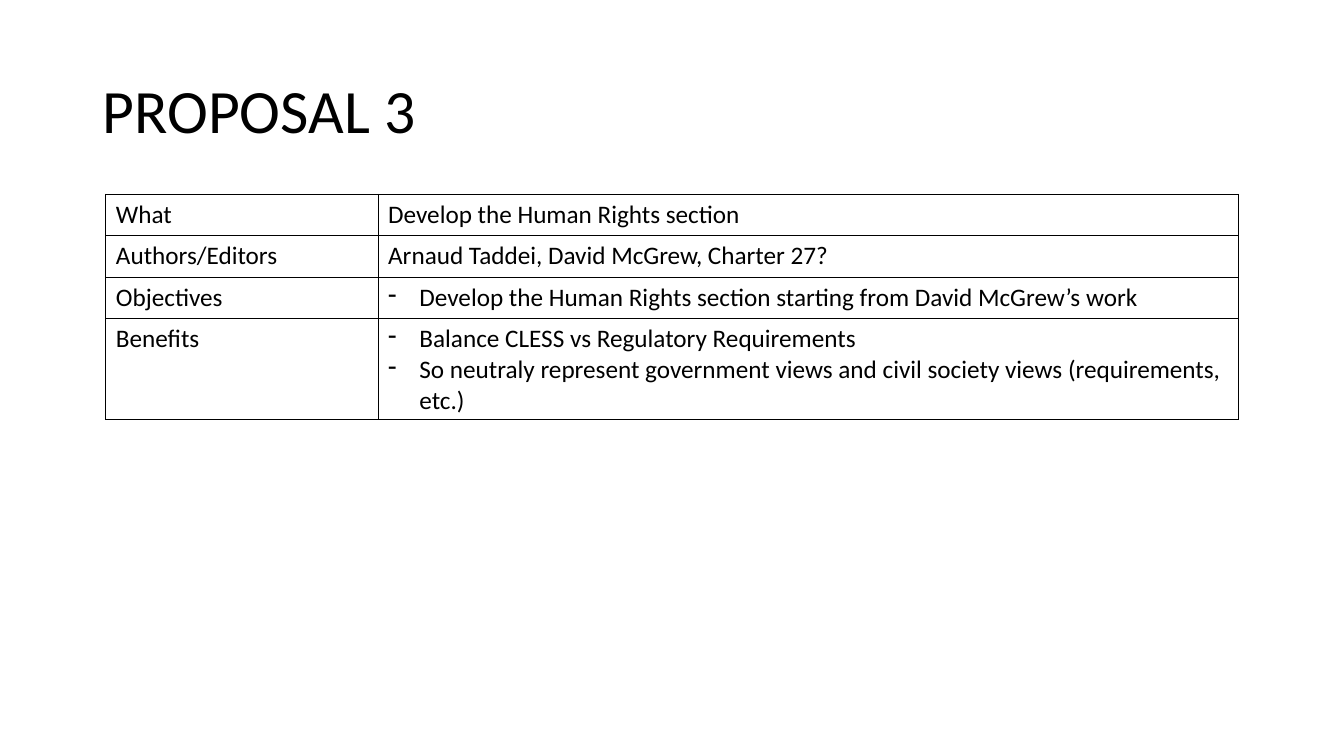
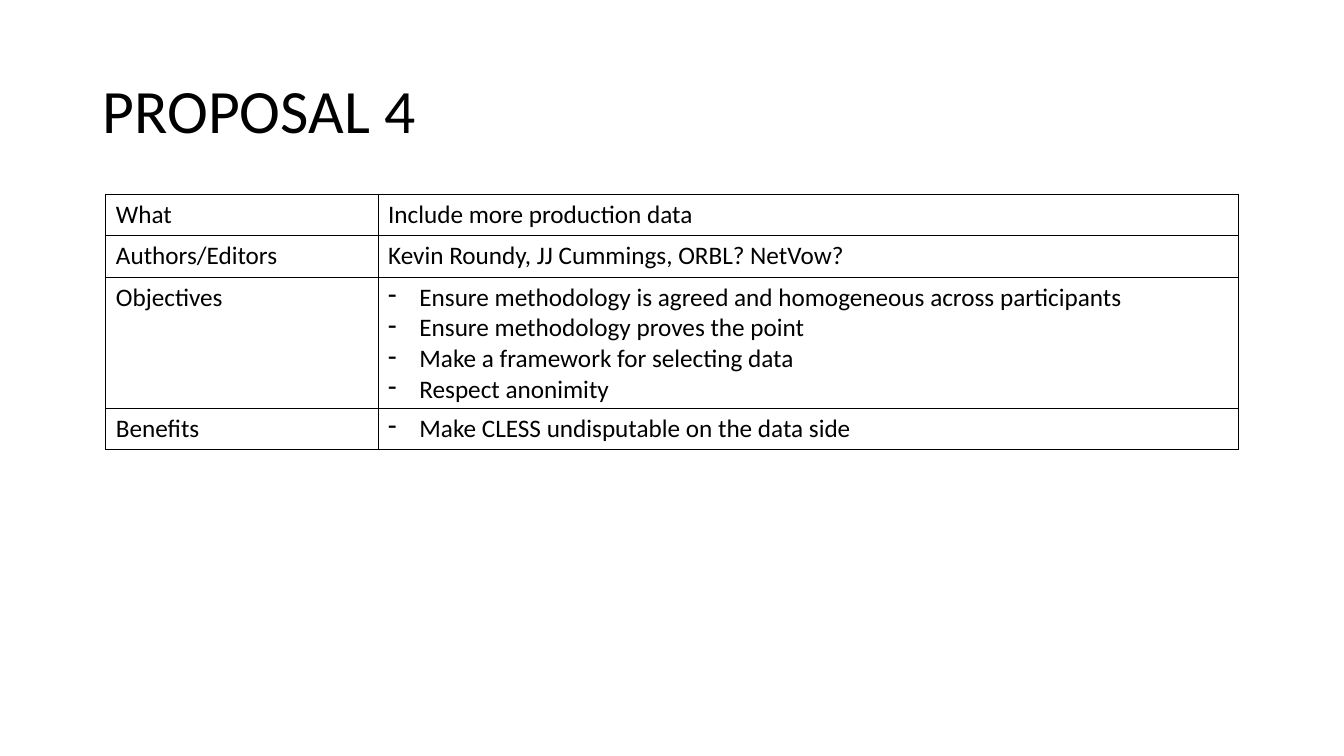
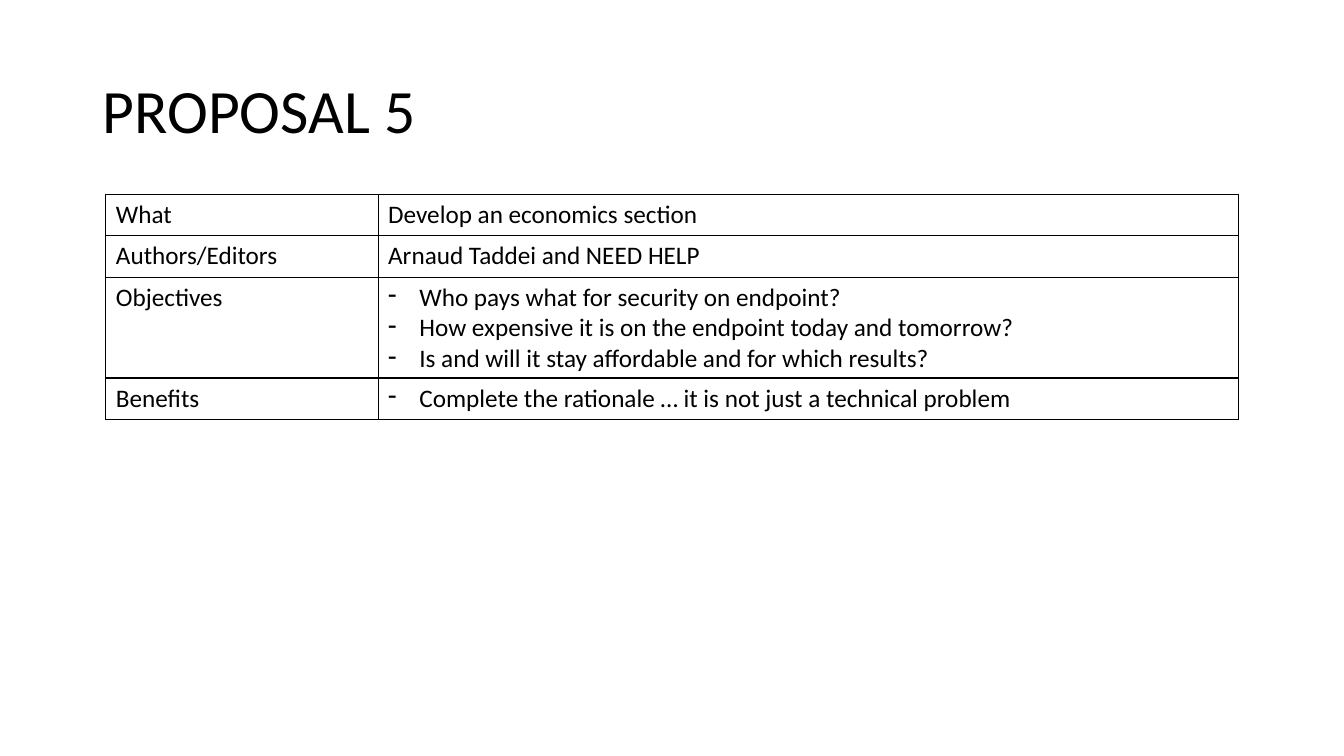
from lxml.etree import SubElement as Sub
from pptx import Presentation
from pptx.dml.color import RGBColor as RGB
from pptx.enum.text import MSO_ANCHOR as Anchor
from pptx.oxml.ns import qn
from pptx.util import Inches, Pt

# Content: a string is plain text, a list is a set of dash points
LABELS = ("What", "Authors/Editors", "Objectives", "Benefits")
DECK = [
    ("PROPOSAL 3", (
        "Develop the Human Rights section",
        "Arnaud Taddei, David McGrew, Charter 27?",
        ["Develop the Human Rights section starting from David McGrew’s work"],
        ["Balance CLESS vs Regulatory Requirements",
         "So neutraly represent government views and civil society views "
         "(requirements, etc.)"])),
    ("PROPOSAL 4", (
        "Include more production data",
        "Kevin Roundy, JJ Cummings, ORBL? NetVow?",
        ["Ensure methodology is agreed and homogeneous across participants",
         "Ensure methodology proves the point",
         "Make a framework for selecting data",
         "Respect anonimity"],
        ["Make CLESS undisputable on the data side"])),
    ("PROPOSAL 5", (
        "Develop an economics section",
        "Arnaud Taddei and NEED HELP",
        ["Who pays what for security on endpoint?",
         "How expensive it is on the endpoint today and tomorrow?",
         "Is and will it stay affordable and for which results?"],
        ["Complete the rationale … it is not just a technical problem"])),
]

# Shared style, lengths in inches
COLORS = {"text": "000000", "line": "000000", "back": "FFFFFF"}
FONT = "Calibri"
SIZE = (13.33, 7.5)
TITLE = (0.92, 0.4, 11.5, 1.45)
LEFT, TOP = 1.05, 1.93
COLS = (2.7, 8.53)
ROW = 0.41
INDENT = 0.31


def style(para, size):
    for run in para.runs:
        run.font.name, run.font.size = FONT, Pt(size)
        run.font.color.rgb = RGB.from_string(COLORS["text"])


def add_dash(para):
    props = para._p.get_or_add_pPr()
    props.set("marL", str(Inches(INDENT)))
    props.set("indent", str(-Inches(INDENT)))
    Sub(props, qn("a:buFontTx"))
    Sub(props, qn("a:buChar"), char="-")


def add_border(cell):
    props = cell._tc.get_or_add_tcPr()
    for side in "LRTB":
        line = Sub(props, qn("a:ln" + side), w=str(Pt(1)))
        fill = Sub(line, qn("a:solidFill"))
        Sub(fill, qn("a:srgbClr"), val=COLORS["line"])


def fill_cell(cell, item):
    add_border(cell)
    cell.fill.background()
    dashed = isinstance(item, list)
    cell.text_frame.text = "\n".join(item) if dashed else item
    for para in cell.text_frame.paragraphs:
        style(para, 18)
        if dashed:
            add_dash(para)


def add_title(slide, text):
    frame = slide.shapes.add_textbox(*map(Inches, TITLE)).text_frame
    frame.word_wrap = True
    frame.vertical_anchor = Anchor.MIDDLE
    frame.text = text
    frame.paragraphs[0].line_spacing = 0.9
    style(frame.paragraphs[0], 44)


def add_grid(slide, items):
    box = (LEFT, TOP, sum(COLS), ROW * len(LABELS))
    table = slide.shapes.add_table(
        len(LABELS), len(COLS), *map(Inches, box)).table
    table.first_row = table.horz_banding = False
    for col, width in zip(table.columns, COLS):
        col.width = Inches(width)
    for row, pair in zip(table.rows, zip(LABELS, items)):
        row.height = Inches(ROW)
        for cell, item in zip(row.cells, pair):
            fill_cell(cell, item)


def main():
    deck = Presentation()
    deck.slide_width, deck.slide_height = map(Inches, SIZE)
    back = deck.slide_master.background.fill
    back.solid()
    back.fore_color.rgb = RGB.from_string(COLORS["back"])
    for title, items in DECK:
        slide = deck.slides.add_slide(deck.slide_layouts[6])
        add_title(slide, title)
        add_grid(slide, items)
    deck.save("out.pptx")


if __name__ == "__main__":
    main()
